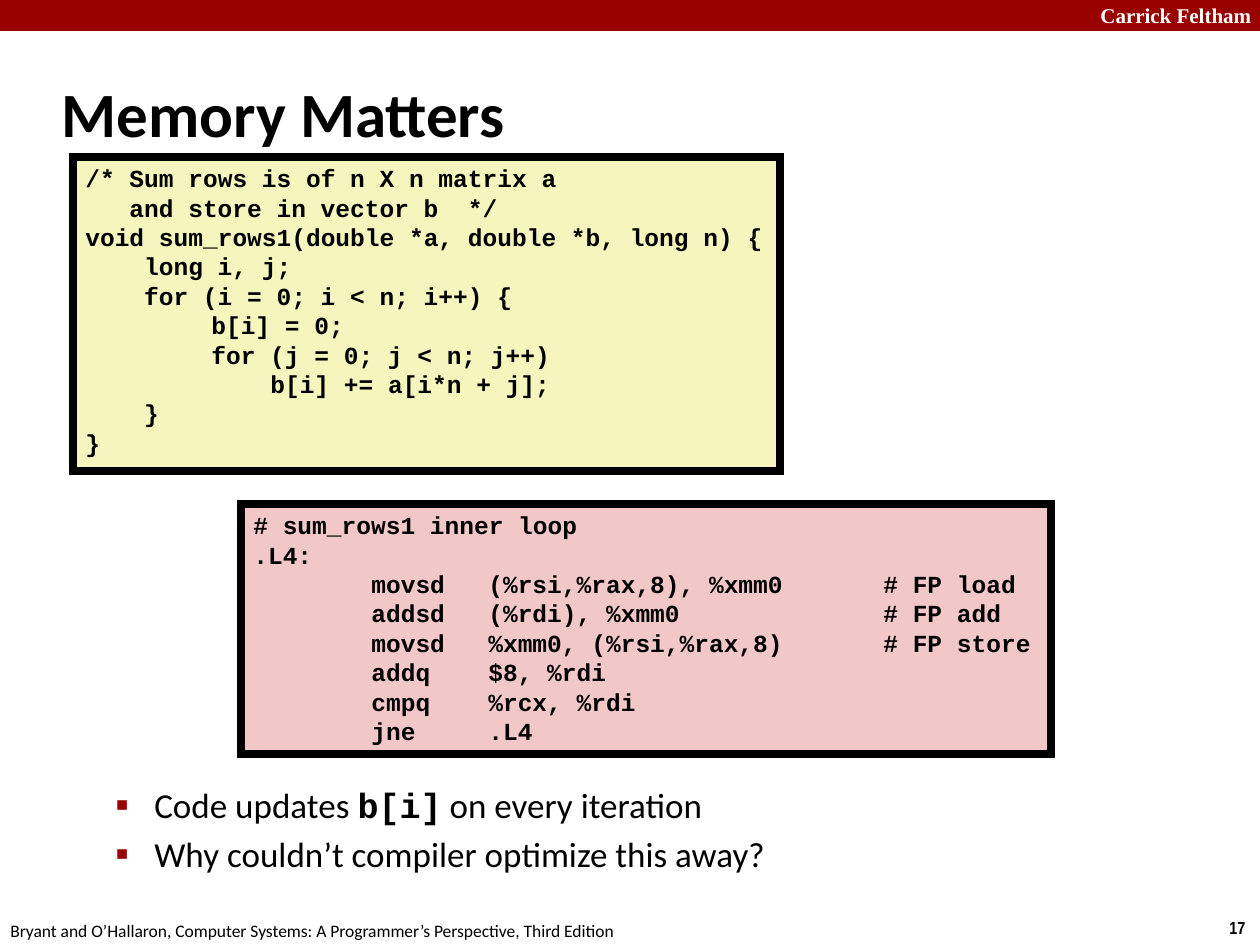
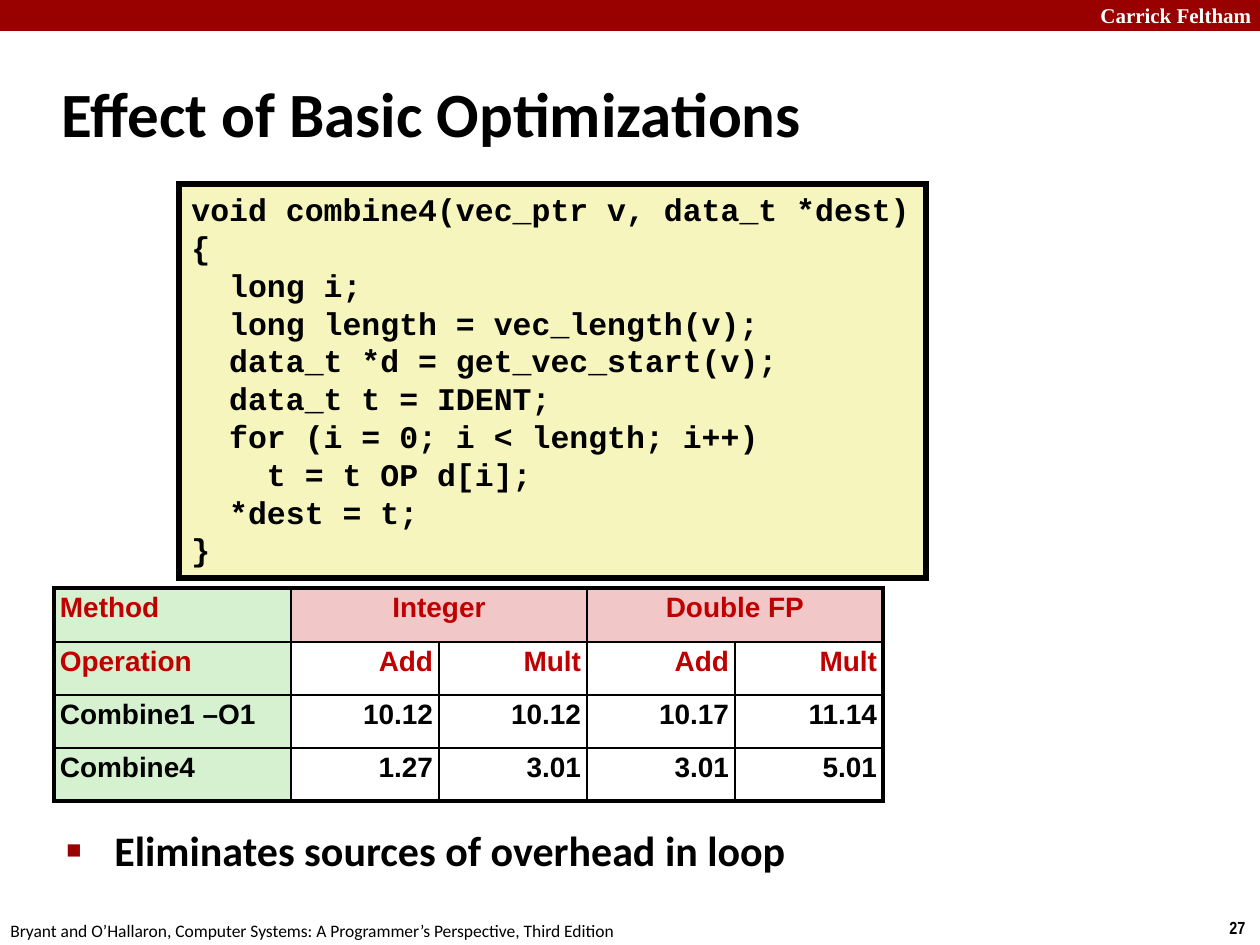
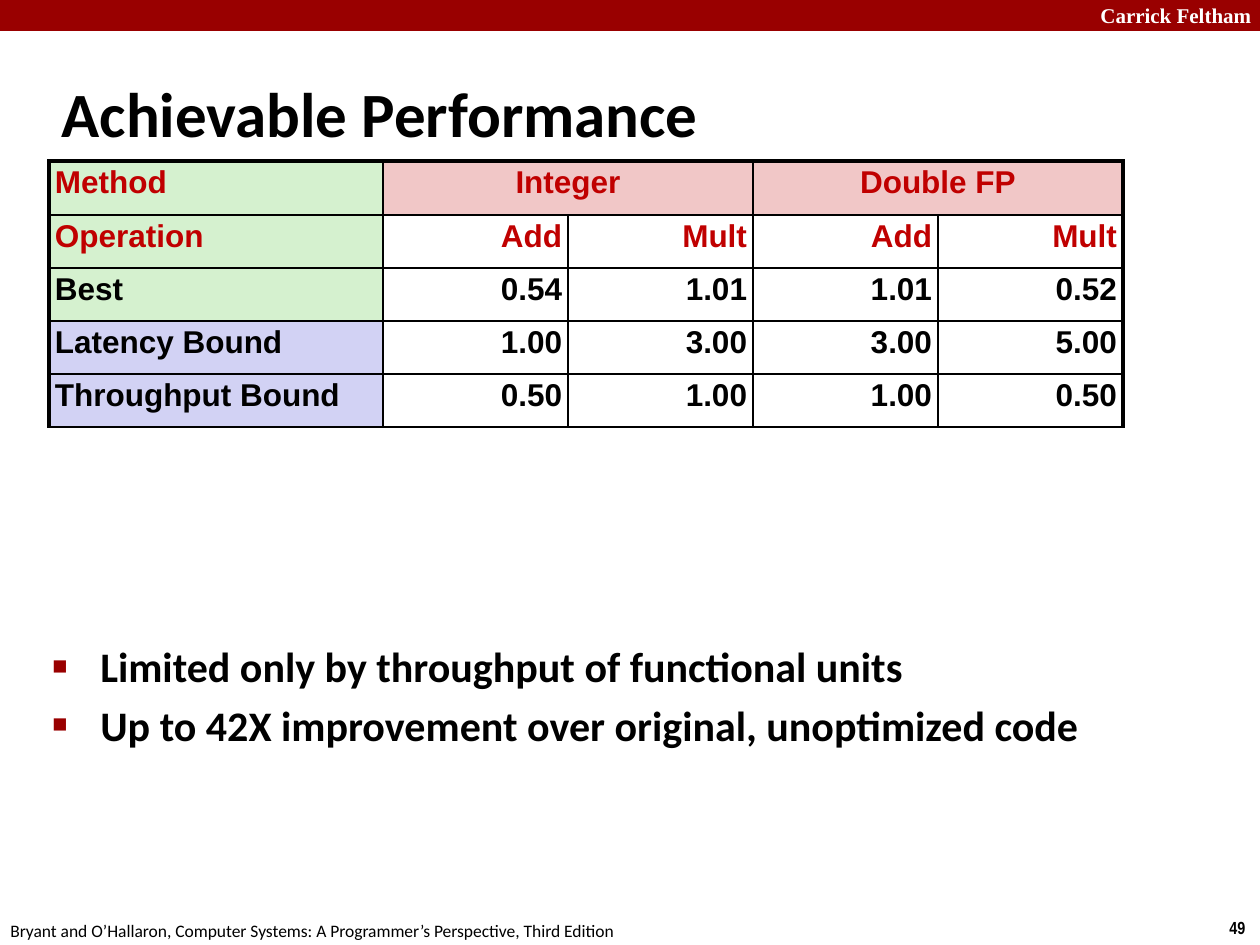
from dataclasses import dataclass

from lxml import etree
from pptx import Presentation
from pptx.dml.color import RGBColor
from pptx.enum.shapes import MSO_SHAPE
from pptx.enum.text import MSO_ANCHOR, PP_ALIGN
from pptx.oxml.ns import qn
from pptx.util import Emu, Pt

RECTANGLE = MSO_SHAPE.RECTANGLE
TOP, MIDDLE = MSO_ANCHOR.TOP, MSO_ANCHOR.MIDDLE
LEFT, CENTER, RIGHT = PP_ALIGN.LEFT, PP_ALIGN.CENTER, PP_ALIGN.RIGHT

PX_PER_INCH = 126
EMU_PER_PX = 914400 / PX_PER_INCH
SLIDE_WIDTH, SLIDE_HEIGHT = 1260, 945
TITLE_ONLY = 5
MONO_ADVANCE = 0.6


@dataclass(frozen=True)
class Theme:
    """Colours, fonts and type sizes shared by all slides."""

    black: str = "000000"
    white: str = "FFFFFF"
    band: str = "990000"
    heading: str = "C00000"
    yellow: str = "F6F5BD"
    pink: str = "F1C7C7"
    green: str = "D5F1CF"
    lilac: str = "D2D2F4"
    body: str = "Calibri"
    code: str = "Courier New"
    table: str = "Arial"
    header: str = "Times New Roman"
    number: str = "Arial Narrow"
    title_size: int = 36
    point_size: int = 24
    subpoint_size: int = 20
    header_size: int = 12
    footer_size: int = 10
    thin: float = 1
    thick: float = 2.25


THEME = Theme()

ORGANISATION = "Carrick Feltham"
FOOTER = ("Bryant and O’Hallaron, Computer Systems: "
          "A Programmer’s Perspective, Third Edition")

SUM_ROWS_CODE = """\
/* Sum rows is of n X n matrix a
   and store in vector b  */
void sum_rows1(double *a, double *b, long n) {
    long i, j;
    for (i = 0; i < n; i++) {
\tb[i] = 0;
\tfor (j = 0; j < n; j++)
\t\tb[i] += a[i*n + j];
    }
}"""

INNER_LOOP_CODE = """\
# sum_rows1 inner loop
.L4:
\tmovsd\t(%rsi,%rax,8), %xmm0\t# FP load
\taddsd\t(%rdi), %xmm0\t# FP add
\tmovsd\t%xmm0, (%rsi,%rax,8)\t# FP store
\taddq\t$8, %rdi
\tcmpq\t%rcx, %rdi
\tjne\t.L4"""

COMBINE4_CODE = """\
void combine4(vec_ptr v, data_t *dest)
{
  long i;
  long length = vec_length(v);
  data_t *d = get_vec_start(v);
  data_t t = IDENT;
  for (i = 0; i < length; i++)
    t = t OP d[i];
  *dest = t;
}"""

TABLE_HEADINGS = [
    ("Method", "Integer", "", "Double FP", ""),
    ("Operation", "Add", "Mult", "Add", "Mult"),
]


def px(length):
    """Turn a length in px into EMU."""
    return Emu(round(length * EMU_PER_PX))


def box(left, top, width, height):
    """Turn a rectangle in px into EMU."""
    return [px(length) for length in (left, top, width, height)]


def rgb(color):
    """Turn a hex colour into an RGBColor."""
    return RGBColor.from_string(color)


def add_element(parent, tag, **attributes):
    """Append a drawing element with the given attributes."""
    values = {name: str(value) for name, value in attributes.items()}
    return etree.SubElement(parent, qn(tag), values)


def write_text(paragraph, text, *, size, font=THEME.body, color=THEME.black,
               bold=False, align=LEFT):
    """Add one formatted run to a paragraph."""
    paragraph.alignment = align
    run = paragraph.add_run()
    run.text = text
    run.font.size = Pt(size)
    run.font.name = font
    run.font.bold = bold
    run.font.color.rgb = rgb(color)


def next_paragraph(frame, index):
    """Return the first paragraph of a frame, or a new one after it."""
    return frame.add_paragraph() if index else frame.paragraphs[0]


def set_indent(paragraph, margin, first_line=0):
    """Set the left margin and any first-line indent in px."""
    properties = paragraph._p.get_or_add_pPr()
    properties.set("marL", str(px(margin)))
    if first_line:
        properties.set("indent", str(px(first_line)))


def set_tabs(paragraph, stops):
    """Set left tab stops in px."""
    tab_list = add_element(paragraph._p.get_or_add_pPr(), "a:tabLst")
    for stop in stops:
        add_element(tab_list, "a:tab", pos=px(stop), algn="l")


def set_bullet(paragraph, character, percent):
    """Give a paragraph a coloured bullet sized relative to its text."""
    properties = paragraph._p.get_or_add_pPr()
    add_element(add_element(properties, "a:buClr"), "a:srgbClr", val=THEME.band)
    add_element(properties, "a:buSzPct", val=percent * 1000)
    add_element(properties, "a:buFont", typeface=THEME.table)
    add_element(properties, "a:buChar", char=character)


def add_rectangle(slide, bounds, fill, line_width=0):
    """Add a flat rectangle with an optional black, sharp-cornered outline."""
    shape = slide.shapes.add_shape(RECTANGLE, *box(*bounds))
    shape.shadow.inherit = False
    shape.fill.solid()
    shape.fill.fore_color.rgb = rgb(fill)
    if line_width:
        shape.line.color.rgb = rgb(THEME.black)
        shape.line.width = Pt(line_width)
        outline = shape._element.spPr.find(qn("a:ln"))
        add_element(outline, "a:miter", lim=800000)
    else:
        shape.line.fill.background()
    return shape


def add_text_frame(slide, bounds):
    """Add a wrapping text box and return its frame."""
    frame = slide.shapes.add_textbox(*box(*bounds)).text_frame
    frame.word_wrap = True
    return frame


def add_label(slide, bounds, text, **style):
    """Add a one-line text box."""
    write_text(add_text_frame(slide, bounds).paragraphs[0], text, **style)


def add_slide(presentation, title, number):
    """Add a slide with its title, band, footer and number."""
    slide = presentation.slides.add_slide(presentation.slide_layouts[TITLE_ONLY])
    add_rectangle(slide, (0, 0, SLIDE_WIDTH, 31), THEME.band)
    add_label(slide, (1088, -4, 181, 38), ORGANISATION, size=THEME.header_size,
              font=THEME.header, color=THEME.white, bold=True)
    add_label(slide, (1217, 911, 43, 34), str(number), size=THEME.footer_size,
              font=THEME.number, bold=True)
    add_label(slide, (-2, 914, 640, 34), FOOTER, size=THEME.footer_size)
    placeholder = slide.shapes.title
    placeholder.left, placeholder.top, placeholder.width, placeholder.height = box(
        49, 60, 1046, 105)
    placeholder.text_frame.vertical_anchor = MIDDLE
    write_text(placeholder.text_frame.paragraphs[0], title,
               size=THEME.title_size, bold=True)
    return slide


def add_code(slide, bounds, code, *, fill, size, line_width, tabs=()):
    """Add a code listing whose leading spaces become indents."""
    frame = add_rectangle(slide, bounds, fill, line_width).text_frame
    frame.word_wrap = True
    frame.vertical_anchor = TOP
    character_width = size * MONO_ADVANCE * PX_PER_INCH / 72
    for index, line in enumerate(code.splitlines()):
        paragraph = next_paragraph(frame, index)
        text = line.lstrip(" ")
        if "\t" in text:
            set_tabs(paragraph, tabs)
        else:
            set_indent(paragraph, (len(line) - len(text)) * character_width)
        write_text(paragraph, text, size=size, font=THEME.code, bold=True)


def add_bullets(slide, bounds, items, *, size, margin, hanging, character,
                percent, bold=False):
    """Add a bullet list; every second part of an item is set as code."""
    frame = add_text_frame(slide, bounds)
    for index, parts in enumerate(items):
        paragraph = next_paragraph(frame, index)
        paragraph.space_before = Pt(size * 0.2)
        set_indent(paragraph, margin, -hanging)
        set_bullet(paragraph, character, percent)
        for position, part in enumerate(parts):
            is_code = position % 2 == 1
            write_text(paragraph, part, size=size, bold=bold or is_code,
                       font=THEME.code if is_code else THEME.body)


def add_points(slide, bounds, *points):
    """Add bold top-level bullets."""
    add_bullets(slide, bounds, [[point] for point in points],
                size=THEME.point_size, margin=48, hanging=48, character="■",
                percent=60, bold=True)


def set_borders(cell, widths):
    """Draw black cell borders given as left, right, top, bottom widths."""
    properties = cell._tc.get_or_add_tcPr()
    for index, (side, width) in enumerate(zip("LRTB", widths)):
        line = add_element(properties, f"a:ln{side}", w=Pt(width))
        add_element(add_element(line, "a:solidFill"), "a:srgbClr", val=THEME.black)
        properties.insert(index, line)


def cell_fill(row, column, label_fill):
    """Choose the fill of a cell from its place."""
    if column == 0:
        return label_fill
    return THEME.pink if row == 0 else THEME.white


def cell_align(row, column):
    """Choose the alignment of a cell from its place."""
    if column == 0:
        return LEFT
    return CENTER if row == 0 else RIGHT


def add_results(slide, position, rows, *, size, label_width, value_width,
                bottom_width, bound_rows=()):
    """Add a table of cycles by data type and operation."""
    contents = TABLE_HEADINGS + rows
    widths = [label_width] + [value_width] * 4
    heights = [54] + [53] * (len(contents) - 1)
    table = slide.shapes.add_table(
        len(contents), len(widths),
        *box(*position, sum(widths), sum(heights))).table
    table.first_row = table.horz_banding = False
    for column, width in zip(table.columns, widths):
        column.width = px(width)
    for row, height in zip(table.rows, heights):
        row.height = px(height)
    for column in (1, 3):
        table.cell(0, column).merge(table.cell(0, column + 1))
    for row, values in enumerate(contents):
        label_fill = THEME.lilac if values[0] in bound_rows else THEME.green
        color = THEME.heading if row < len(TABLE_HEADINGS) else THEME.black
        for column, value in enumerate(values):
            cell = table.cell(row, column)
            cell.margin_left = cell.margin_right = px(6)
            cell.margin_top = cell.margin_bottom = px(6)
            cell.vertical_anchor = TOP
            cell.fill.solid()
            cell.fill.fore_color.rgb = rgb(cell_fill(row, column, label_fill))
            last_column = column + cell.span_width == len(widths)
            last_row = row == len(contents) - 1
            set_borders(cell, (
                THEME.thin if column else THEME.thick,
                THEME.thick if last_column else THEME.thin,
                THEME.thin if row else THEME.thick,
                bottom_width if last_row else THEME.thin))
            if value:
                paragraph = cell.text_frame.paragraphs[0]
                paragraph.line_spacing = 0.95
                write_text(paragraph, value, size=size, font=THEME.table,
                           color=color, bold=True, align=cell_align(row, column))


def add_memory_slide(presentation):
    """Show the row sum and its inner loop."""
    slide = add_slide(presentation, "Memory Matters", 17)
    add_bullets(slide, (40, 777, 1145, 111), [
        ["Code updates ", "b[i]", " on every iteration"],
        ["Why couldn’t compiler optimize this away?"],
    ], size=THEME.subpoint_size, margin=102, hanging=39, character="▪", percent=110)
    add_code(slide, (241, 504, 810, 250), INNER_LOOP_CODE, fill=THEME.pink,
             size=14, line_width=4.5, tabs=(118, 235, 630))
    add_code(slide, (73, 157, 707, 314), SUM_ROWS_CODE, fill=THEME.yellow,
             size=14, line_width=4.5, tabs=(126, 185))


def add_optimization_slide(presentation):
    """Compare combine4 with the first version."""
    slide = add_slide(presentation, "Effect of Basic Optimizations", 27)
    add_points(slide, (54, 818, 1089, 74), "Eliminates sources of overhead in loop")
    add_code(slide, (179, 184, 747, 394), COMBINE4_CODE, fill=THEME.yellow,
             size=18, line_width=3)
    add_results(slide, (54, 588), [
        ("Combine1 –O1", "10.12", "10.12", "10.17", "11.14"),
        ("Combine4", "1.27", "3.01", "3.01", "5.01"),
    ], size=16, label_width=237, value_width=148, bottom_width=THEME.thick)


def add_performance_slide(presentation):
    """Compare the best results with both bounds."""
    slide = add_slide(presentation, "Achievable Performance", 49)
    add_points(slide, (40, 634, 1145, 258),
               "Limited only by throughput of functional units",
               "Up to 42X improvement over original, unoptimized code")
    add_results(slide, (49, 161), [
        ("Best", "0.54", "1.01", "1.01", "0.52"),
        ("Latency Bound", "1.00", "3.00", "3.00", "5.00"),
        ("Throughput Bound", "0.50", "1.00", "1.00", "0.50"),
    ], size=18, label_width=334, value_width=185, bottom_width=THEME.thin,
        bound_rows=("Latency Bound", "Throughput Bound"))


def main():
    """Build and save the presentation."""
    presentation = Presentation()
    presentation.slide_width = px(SLIDE_WIDTH)
    presentation.slide_height = px(SLIDE_HEIGHT)
    add_memory_slide(presentation)
    add_optimization_slide(presentation)
    add_performance_slide(presentation)
    presentation.save("out.pptx")


if __name__ == "__main__":
    main()
